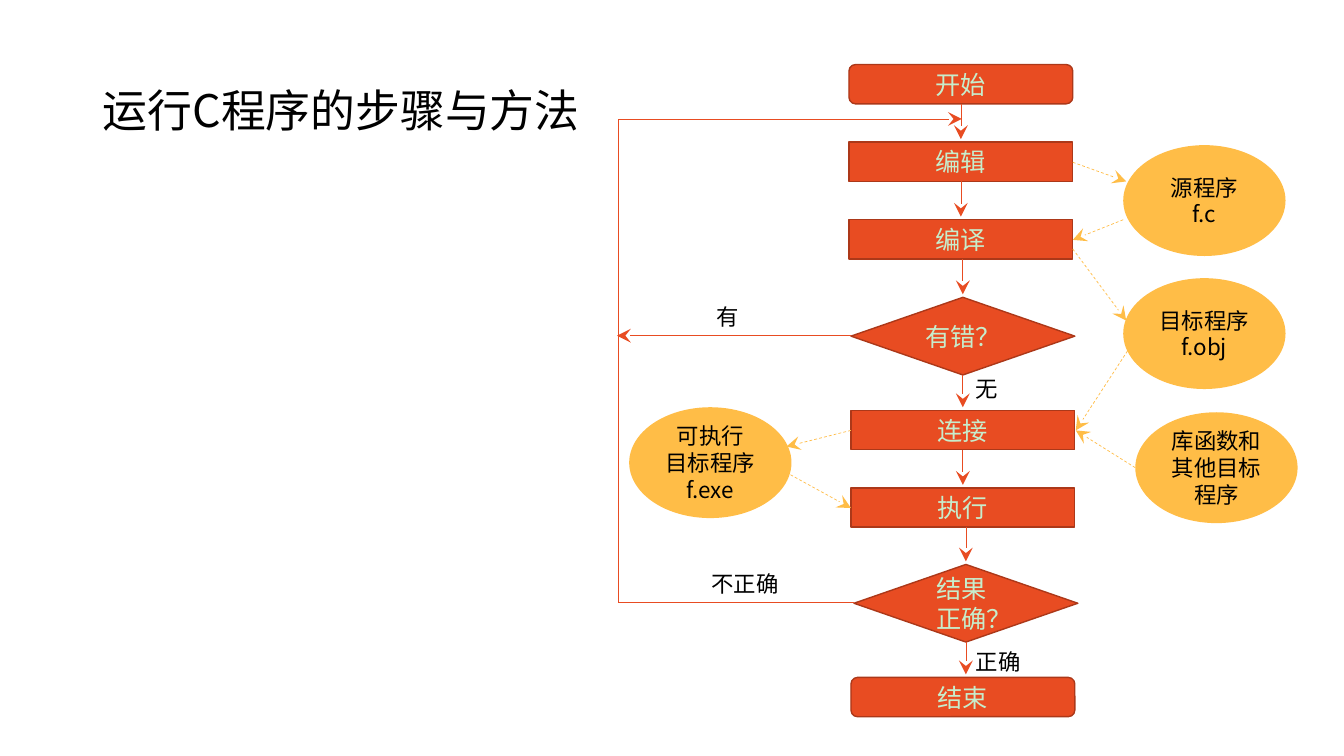
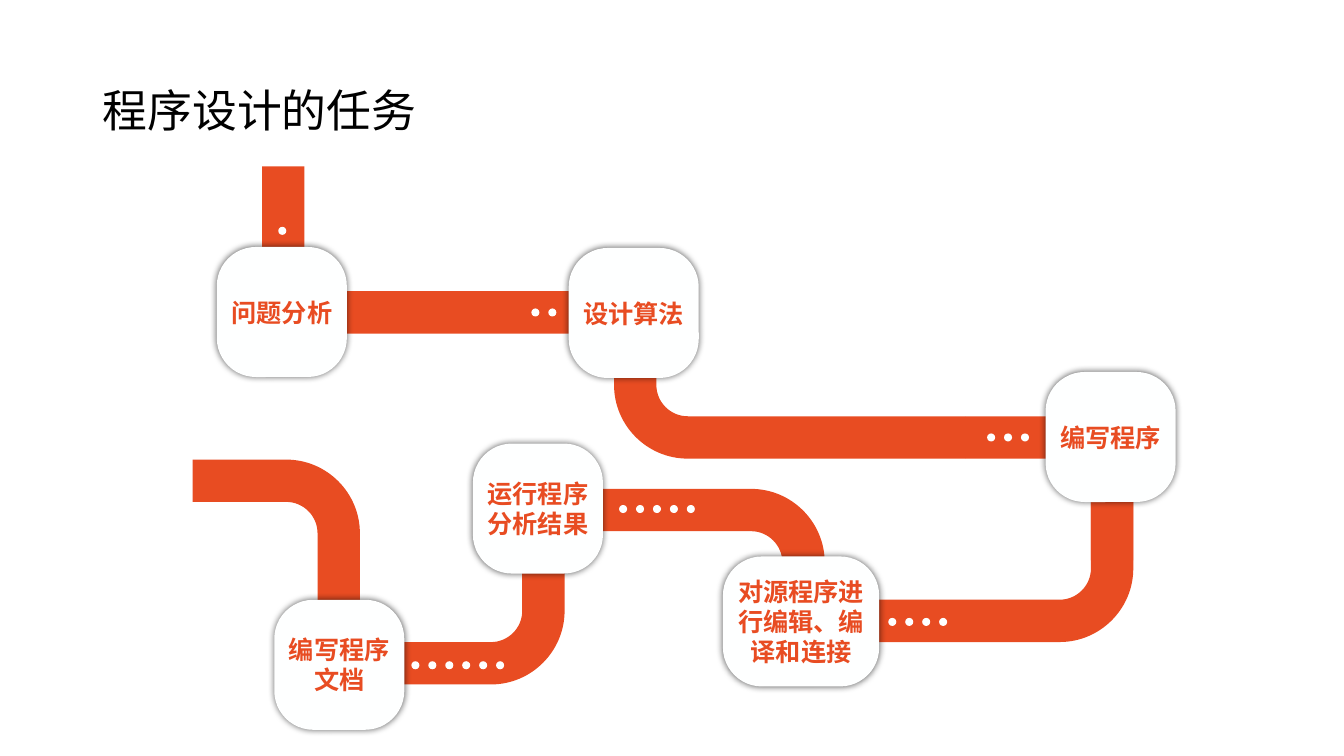
import math
from dataclasses import dataclass

import lxml.etree
import pptx
import pptx.dml.color
import pptx.enum.dml
import pptx.enum.shapes
import pptx.enum.text
import pptx.oxml
import pptx.oxml.ns
import pptx.util

Inches, Pt = pptx.util.Inches, pptx.util.Pt
SHAPE = pptx.enum.shapes.MSO_SHAPE
ALIGN = pptx.enum.text.PP_ALIGN
ANCHOR = pptx.enum.text.MSO_ANCHOR
qn = pptx.oxml.ns.qn


@dataclass(frozen=True)
class Theme:
    font: str = "Noto Sans CJK SC"
    red: str = "E84C22"
    dark_red: str = "AC3819"
    amber: str = "FFBD47"
    pale: str = "C7EDCC"
    white: str = "FEFFFF"
    black: str = "000000"
    title_size: int = 32
    body_size: int = 18
    label_size: int = 16


THEME = Theme()

# Flow chart
START_END = SHAPE.FLOWCHART_ALTERNATE_PROCESS
STEP = SHAPE.RECTANGLE
DECISION = SHAPE.FLOWCHART_DECISION
NODE_WIDTH = 2.22
NODES = [  # kind, text, left, top
    (START_END, "开始", 8.42, 0.64),
    (STEP, "编辑", 8.42, 1.41),
    (STEP, "编译", 8.42, 2.18),
    (DECISION, "有错？", 8.44, 2.95),
    (STEP, "连接", 8.44, 4.07),
    (STEP, "执行", 8.44, 4.84),
    (DECISION, "结果\n正确？", 8.47, 5.6),
    (START_END, "结束", 8.44, 6.72),
]
LABELS = [  # text, left, top, width
    ("无", 9.58, 3.67, 0.58),
    ("正确", 9.58, 6.38, 0.74),
    ("有", 7.01, 2.96, 0.58),
    ("不正确", 6.96, 5.61, 1.28),
]
FILES = [  # text, left, top
    ("可执行\n目标程序\nf.exe", 6.24, 4.04),
    ("源程序\nf.c", 11.14, 1.44),
    ("目标程序\nf.obj", 11.14, 2.76),
    ("库函数和其他目标程序", 11.26, 4.09),
]
FILE_ARROWS = [  # from, to
    ((10.64, 1.61), (11.17, 1.8)),
    ((11.14, 2.18), (10.64, 2.38)),
    ((10.64, 2.47), (11.17, 3.18)),
    ((11.21, 3.44), (10.67, 4.27)),
    ((11.26, 4.64), (10.67, 4.27)),
    ((8.44, 4.27), (7.8, 4.43)),
    ((7.84, 4.71), (8.44, 5.04)),
]
RETURN_PATH = [(8.47, 5.98), (6.13, 5.98), (6.13, 1.18), (9.54, 1.18)]

# Road of tasks
ROAD_WIDTH, ROAD_RADIUS = 0.42, 0.52
ARC_HANDLE = 0.55
ROADS = [  # start, corner and end of the centre line
    ((3.37, 6.58), (5.39, 6.58), (5.39, 5.14)),
    ((5.95, 5.06), (7.97, 5.06), (7.97, 6.5)),
    ((7.75, 6.16), (11.03, 6.16), (11.03, 4.71)),
    ((2.81, 1.65), (2.81, 3.1), (6.09, 3.1)),
    ((6.3, 2.89), (6.3, 4.34), (9.58, 4.34)),
    ((9.58, 4.34), (11.03, 4.34), (11.03, 5.56)),
    ((1.91, 4.77), (3.36, 4.77), (3.36, 6.79)),
]
TILE_SIZE, DOT_SIZE, DOT_PITCH = 1.29, 0.08, 0.84 / 5
TASKS = [  # text, left, top, width, first dot
    ("问题分析", 2.15, 2.45, TILE_SIZE, (2.76, 2.25)),
    ("设计算法", 5.64, 2.46, TILE_SIZE, (5.27, 3.06)),
    ("编写程序", 10.37, 3.69, TILE_SIZE, (9.79, 4.3)),
    ("对源程序进行编辑、编译和连接", 7.17, 5.52, 1.55, (8.81, 6.13)),
    ("运行程序\n分析结果", 4.69, 4.4, TILE_SIZE, (6.14, 5.01)),
    ("编写程序文档", 2.72, 5.95, TILE_SIZE, (4.08, 6.56)),
]


def rgb(color):
    return pptx.dml.color.RGBColor.from_string(color)


def write(sp, text, size, color, align=ALIGN.CENTER, anchor=ANCHOR.MIDDLE,
          bold=False):
    """Fill a shape with one paragraph per line; return the text frame."""
    tf = sp.text_frame
    tf.word_wrap = True
    tf.vertical_anchor = anchor
    tf.text = text
    for p in tf.paragraphs:
        p.alignment = align
        p.font.size = Pt(size)
        p.font.bold = bold
        p.font.color.rgb = rgb(color)
        p.font.name = THEME.font
        props = p._p.pPr.find(qn("a:defRPr"))
        lxml.etree.SubElement(props, qn("a:ea"), typeface=THEME.font)
    return tf


def paint(sp, fill, line=None):
    sp.shadow.inherit = False
    sp.fill.solid()
    sp.fill.fore_color.rgb = rgb(fill)
    if line:
        sp.line.color.rgb = rgb(line)
        sp.line.width = Pt(1)
    else:
        sp.line.fill.background()
    return sp


def add_box(s, kind, left, top, width, height, fill, line=None):
    sp = s.shapes.add_shape(kind, Inches(left), Inches(top),
                            Inches(width), Inches(height))
    return paint(sp, fill, line)


def add_text(s, text, left, top, width, height, size, anchor):
    sp = s.shapes.add_textbox(Inches(left), Inches(top),
                              Inches(width), Inches(height))
    return write(sp, text, size, THEME.black, ALIGN.LEFT, anchor)


def add_titled_slide(prs, title):
    s = prs.slides.add_slide(prs.slide_layouts[6])
    tf = add_text(s, title, 0.92, 0.4, 11.5, 1.45, THEME.title_size,
                  ANCHOR.MIDDLE)
    tf.paragraphs[0].line_spacing = 0.9
    return s


def add_line(s, start, end, color=THEME.red, arrow=True, dashed=False):
    cx = s.shapes.add_connector(pptx.enum.shapes.MSO_CONNECTOR.STRAIGHT,
                                *map(Inches, (*start, *end)))
    cx.line.color.rgb = rgb(color)
    cx.line.width = Pt(0.5)
    if dashed:
        cx.line.dash_style = pptx.enum.dml.MSO_LINE.DASH
    props = cx._element.spPr
    if arrow:
        lxml.etree.SubElement(props.find(qn("a:ln")), qn("a:tailEnd"),
                              type="stealth", w="lg", len="lg")
    lxml.etree.SubElement(props, qn("a:effectLst"))


def node_height(kind):
    return 0.77 if kind == DECISION else 0.39


def add_node(s, kind, text, left, top):
    sp = add_box(s, kind, left, top, NODE_WIDTH, node_height(kind),
                 THEME.red, THEME.dark_red)
    two_lines = "\n" in text
    tf = write(sp, text, THEME.body_size, THEME.pale,
               ALIGN.LEFT if two_lines else ALIGN.CENTER)
    if two_lines:
        tf.margin_left, tf.margin_right = Inches(0.26), 0


def add_road(s, start, corner, end):
    """Draw an L-shaped band with a rounded corner."""
    def unit(a, b):
        length = math.dist(a, b)
        return (b[0] - a[0]) / length, (b[1] - a[1]) / length

    def move(point, along_u, along_v):
        return tuple(c + along_u * a + along_v * b
                     for c, a, b in zip(point, u, v))

    def side(offset):
        radius = ROAD_RADIUS + offset
        handle = ARC_HANDLE * radius
        arc = [(0, -radius), (handle, -radius), (radius, -handle),
               (radius, 0)]
        return [move(start, 0, -offset),
                *(move(center, *point) for point in arc),
                move(end, offset, 0)]

    u, v = unit(start, corner), unit(corner, end)
    center = move(corner, -ROAD_RADIUS, ROAD_RADIUS)
    outline = side(ROAD_WIDTH / 2) + side(-ROAD_WIDTH / 2)[::-1]
    first, *rest = [(Inches(x), Inches(y)) for x, y in outline]
    builder = s.shapes.build_freeform(*first)
    builder.add_line_segments(rest, close=True)
    sp = paint(builder.convert_to_shape(), THEME.red)

    # Turn the three segments at each corner into one curve
    segments = list(sp._element.iter(qn("a:lnTo")))
    for i in (1, 7):
        curve = lxml.etree.Element(qn("a:cubicBezTo"))
        segments[i].addprevious(curve)
        for segment in segments[i:i + 3]:
            curve.append(segment[0])
            segment.getparent().remove(segment)


def add_glow_shadow(sp):
    effects = sp._element.spPr.find(qn("a:effectLst"))
    shadow = lxml.etree.SubElement(effects, qn("a:outerShdw"),
                                   blurRad=str(Pt(5)), dist="0", dir="0",
                                   algn="ctr", rotWithShape="0")
    color = lxml.etree.SubElement(shadow, qn("a:srgbClr"), val=THEME.black)
    lxml.etree.SubElement(color, qn("a:alpha"), val="60000")


def add_task(s, number, text, left, top, width, first_dot):
    sp = add_box(s, SHAPE.ROUNDED_RECTANGLE, left, top, width, TILE_SIZE,
                 THEME.white)
    sp.adjustments[0] = 0.3
    add_glow_shadow(sp)
    tf = write(sp, text, THEME.body_size, THEME.red, bold=True)
    tf.margin_left = tf.margin_right = tf.margin_top = tf.margin_bottom = 0
    # The number of dots is the number of the task
    x, y = first_dot
    for i in range(number):
        add_box(s, SHAPE.OVAL, x + i * DOT_PITCH, y, DOT_SIZE, DOT_SIZE,
                THEME.white)


def build_flow_slide(prs):
    s = add_titled_slide(prs, "运行C程序的步骤与方法")
    # Main column
    for node in NODES:
        add_node(s, *node)
    for (kind, _, left, top), (_, _, next_left, next_top) in zip(
            NODES, NODES[1:]):
        x = max(left, next_left) + NODE_WIDTH / 2
        add_line(s, (x, top + node_height(kind)), (x, next_top - 0.03))
    # Way back to editing
    legs = list(zip(RETURN_PATH, RETURN_PATH[1:]))
    for leg in legs:
        add_line(s, *leg, arrow=leg == legs[-1])
    add_line(s, (8.44, 3.33), (6.12, 3.33))
    for text, left, top, width in LABELS:
        add_text(s, text, left, top, width, 0.37, THEME.label_size,
                 ANCHOR.TOP)
    # Files read and written
    for text, left, top in FILES:
        sp = add_box(s, SHAPE.OVAL, left, top, 1.61, 1.1, THEME.amber)
        write(sp, text, THEME.label_size, THEME.black)
    for start, end in FILE_ARROWS:
        add_line(s, start, end, THEME.amber, dashed=True)


def build_task_slide(prs):
    s = add_titled_slide(prs, "程序设计的任务")
    for road in ROADS:
        add_road(s, *road)
    for number, task in enumerate(TASKS, start=1):
        add_task(s, number, *task)


def main():
    prs = pptx.Presentation()
    prs.slide_width, prs.slide_height = Inches(13.33), Inches(7.5)
    build_flow_slide(prs)
    build_task_slide(prs)
    prs.save("out.pptx")


if __name__ == "__main__":
    main()
